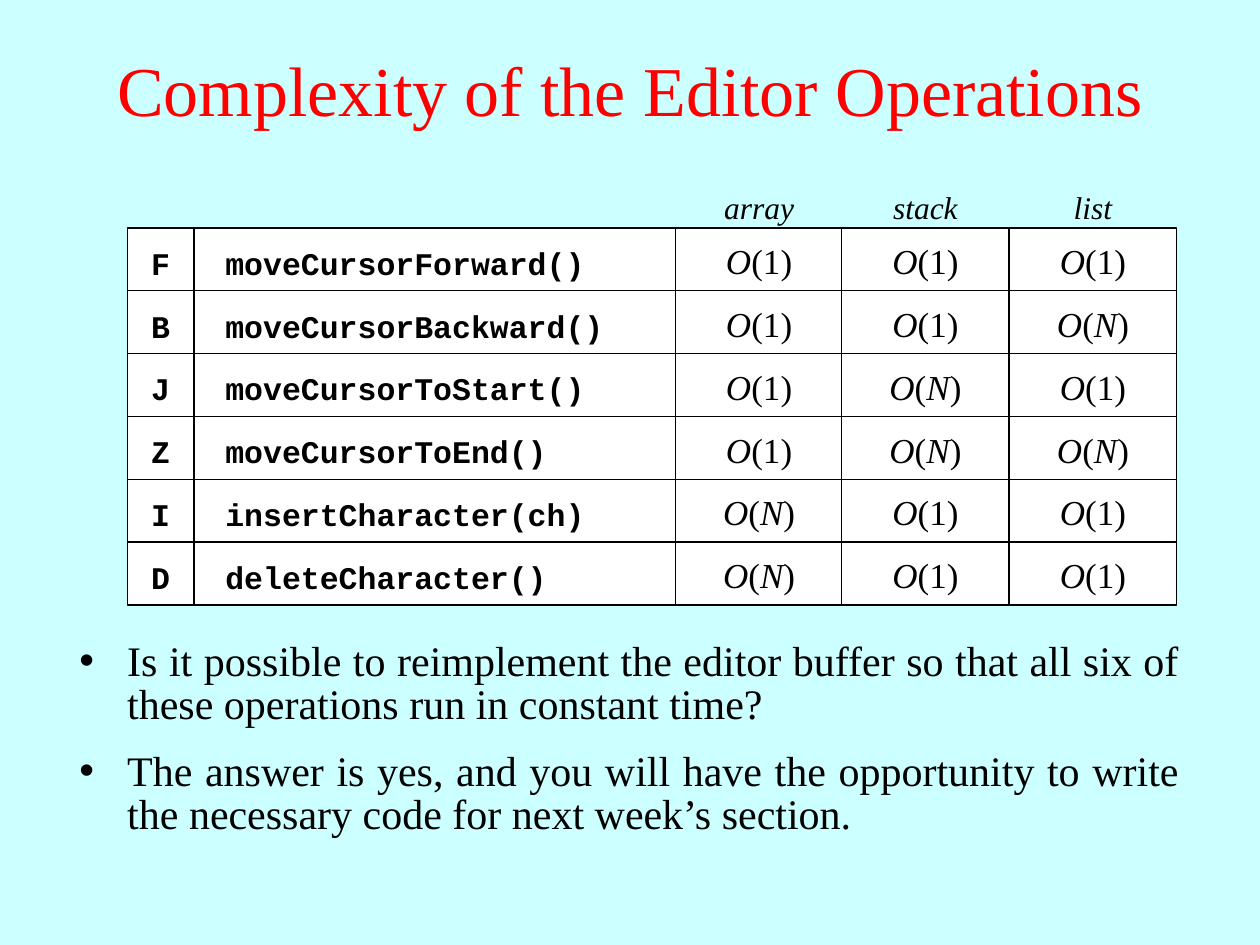
from itertools import groupby

from lxml import etree
from pptx import Presentation
from pptx import util as u
from pptx.dml import color
from pptx.enum import shapes, text
from pptx.oxml import ns

SERIF = "Times New Roman"
MONO = "Courier New"
ALIGN = text.PP_ALIGN
ANCHOR = text.MSO_ANCHOR

COLUMNS = [(1.01, 0.53), (1.54, 3.84), (5.36, 1.33), (6.68, 1.33), (8.01, 1.33)]
GRID_TOP = 1.81
ROW_HEIGHT = 0.5
GRID_HEIGHT = 2.99
HEADERS = ["array", "stack", "list"]
OPERATIONS = [
    ("F", " moveCursorForward()", "O(1)", "O(1)", "O(1)"),
    ("B", " moveCursorBackward()", "O(1)", "O(1)", "O(N)"),
    ("J", " moveCursorToStart()", "O(1)", "O(N)", "O(1)"),
    ("Z", " moveCursorToEnd()", "O(1)", "O(N)", "O(N)"),
    ("I", " insertCharacter(ch)", "O(N)", "O(1)", "O(1)"),
    ("D", " deleteCharacter()", "O(N)", "O(1)", "O(1)"),
]
BULLETS = [
    "Is it possible to reimplement the editor buffer so that all six of "
    "these operations run in constant time?",
    "The answer is yes, and you will have the opportunity to write "
    "the necessary code for next week’s section.",
]


def rgb(value):
    return color.RGBColor.from_string(value)


def box(left, top, width, height):
    return [u.Inches(v) for v in (left, top, width, height)]


def add_text(p, words, size=18, font=SERIF, fill="000000", bold=False,
             italic=False, align=ALIGN.CENTER):
    p.alignment = align
    r = p.add_run()
    r.text = words
    r.font.size = u.Pt(size)
    r.font.name = font
    r.font.bold = bold
    r.font.italic = italic
    r.font.color.rgb = rgb(fill)


def place(sp, left, top, width, height, anchor):
    sp.left, sp.top, sp.width, sp.height = box(left, top, width, height)
    tf = sp.text_frame
    tf.auto_size = text.MSO_AUTO_SIZE.NONE
    tf.word_wrap = True
    tf.vertical_anchor = anchor
    return tf


def add_header(slide, words, left, width):
    tf = slide.shapes.add_textbox(*box(left, 1.42, width, 0.4)).text_frame
    tf.word_wrap = True
    tf.margin_top = u.Inches(0.07)
    add_text(tf.paragraphs[0], words, italic=True)


def add_cell(group, left, top, width, margin_top):
    sp = group.shapes.add_shape(shapes.MSO_SHAPE.RECTANGLE,
                                *box(left, top, width, ROW_HEIGHT))
    sp.shadow.inherit = False
    sp.fill.solid()
    sp.fill.fore_color.rgb = rgb("FFFFFF")
    sp.line.color.rgb = rgb("000000")
    sp.line.width = u.Pt(0.75)
    tf = sp.text_frame
    tf.word_wrap = False
    tf.vertical_anchor = ANCHOR.MIDDLE
    tf.margin_top = u.Inches(margin_top)
    return tf.paragraphs[0]


def add_complexity(p, formula):
    for is_name, letters in groupby(formula, str.isalpha):
        add_text(p, "".join(letters), size=20, italic=is_name)


def add_operation(slide, operation, top):
    group = slide.shapes.add_group_shape()
    for col, words in enumerate(operation):
        left, width = COLUMNS[col]
        if col > 1:
            add_complexity(add_cell(group, left, top, width, 0.07), words)
        else:
            add_text(add_cell(group, left, top, width, 0.1), words, font=MONO,
                     bold=True, align=ALIGN.LEFT if col else ALIGN.CENTER)


def add_bullet(p, words):
    p_pr = p._p.get_or_add_pPr()
    p_pr.set("marL", str(u.Inches(0.38)))
    p_pr.set("indent", str(-u.Inches(0.38)))
    etree.SubElement(p_pr, ns.qn("a:buChar"), char="•")
    p.line_spacing = 0.85
    p.space_before = u.Pt(0)
    p.space_after = u.Pt(13.8)
    add_text(p, words, size=24, align=ALIGN.JUSTIFY)


def main():
    prs = Presentation()
    prs.slide_width, prs.slide_height = u.Inches(10), u.Inches(7.5)
    slide = prs.slides.add_slide(prs.slide_layouts[1])
    slide.background.fill.solid()
    slide.background.fill.fore_color.rgb = rgb("CCFFFF")

    tf = place(slide.shapes.title, 0, 0.08, 10, 1.25, ANCHOR.MIDDLE)
    add_text(tf.paragraphs[0], "Complexity of the Editor Operations",
             size=40, fill="FF0000")

    pitch = GRID_HEIGHT / len(OPERATIONS)
    for row, operation in enumerate(OPERATIONS):
        add_operation(slide, operation, GRID_TOP + row * pitch)
    for words, (left, width) in zip(HEADERS, COLUMNS[2:]):
        add_header(slide, words, left, width)

    tf = place(slide.placeholders[1], 0.53, 5.05, 8.93, 1.69, ANCHOR.TOP)
    for i, words in enumerate(BULLETS):
        add_bullet(tf.add_paragraph() if i else tf.paragraphs[0], words)

    prs.save("out.pptx")


if __name__ == "__main__":
    main()
